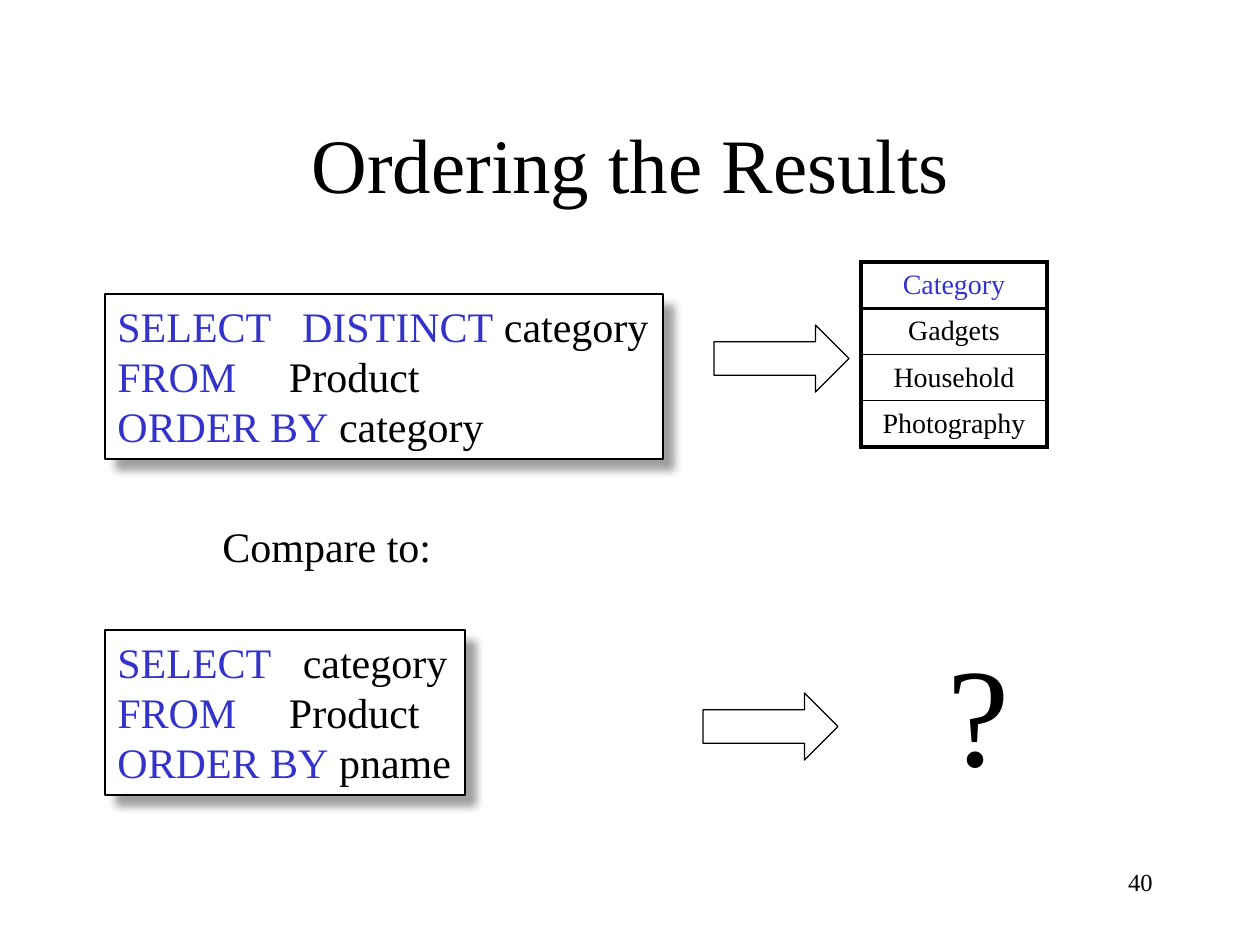
from lxml import etree
from pptx import Presentation
from pptx import util as u
from pptx.dml import color
from pptx.enum import shapes, text
from pptx.oxml import parse_xml
from pptx.oxml.ns import nsdecls, qn

PX = 914400 / 126
BLACK, KEYWORD = "000000", "3333CC"


def px(*lengths):
    return [u.Emu(round(n * PX)) for n in lengths]


def style(paragraph, size, colors=(BLACK,), align=text.PP_ALIGN.LEFT):
    """Format a paragraph's runs, one colour for each run."""
    paragraph.alignment = align
    for run, hex_color in zip(paragraph.runs, colors):
        run.font.name = "Times New Roman"
        run.font.size = u.Pt(size)
        run.font.bold = False
        run.font.color.rgb = color.RGBColor.from_string(hex_color)


prs = Presentation()
prs.slide_width, prs.slide_height = px(1260, 945)
slide = prs.slides.add_slide(prs.slide_layouts[5])

title = slide.shapes.title
title.left, title.top, title.width, title.height = px(95, 84, 1071, 158)
title.text_frame.text = "Ordering the Results"
title.text_frame.vertical_anchor = text.MSO_ANCHOR.MIDDLE
style(title.text_frame.paragraphs[0], 44, align=text.PP_ALIGN.CENTER)

# SQL queries: each line is a keyword part and the rest
queries = [
    ((105, 294, 558, 165), [("SELECT   DISTINCT", " category"),
                            ("FROM", "     Product"),
                            ("ORDER BY", " category")]),
    ((105, 630, 360, 165), [("SELECT", "   category"),
                            ("FROM", "     Product"),
                            ("ORDER BY", " pname")]),
]
for place, lines in queries:
    query = slide.shapes.add_shape(shapes.MSO_SHAPE.RECTANGLE, *px(*place))
    query.fill.solid()
    query.fill.fore_color.rgb = color.RGBColor.from_string("FFFFFF")
    query.line.color.rgb = color.RGBColor.from_string(BLACK)
    query.line.width = u.Pt(0.75)
    query._element.spPr.append(parse_xml(
        f'<a:effectLst {nsdecls("a")}><a:outerShdw blurRad="{u.Pt(5)}" dist="{u.Pt(8.5)}" '
        'dir="2700000" algn="ctr" rotWithShape="0"><a:srgbClr val="808080">'
        '<a:alpha val="75000"/></a:srgbClr></a:outerShdw></a:effectLst>'))
    frame = query.text_frame
    frame.word_wrap = False
    frame.auto_size = text.MSO_AUTO_SIZE.SHAPE_TO_FIT_TEXT
    frame.vertical_anchor = text.MSO_ANCHOR.TOP
    for i, parts in enumerate(lines):
        line = frame.add_paragraph() if i else frame.paragraphs[0]
        for part in parts:
            line.add_run().text = part
        style(line, 24, (KEYWORD, BLACK))

for left, top in [(714, 325), (703, 693)]:
    arrow = slide.shapes.add_shape(shapes.MSO_SHAPE.RIGHT_ARROW, *px(left, top, 135, 67))
    arrow.shadow.inherit = False
    arrow.fill.background()
    arrow.line.color.rgb = color.RGBColor.from_string(BLACK)
    arrow.line.width = u.Pt(0.75)

labels = [
    ("Compare to:", (210, 514, 234, 63), 24, text.PP_ALIGN.LEFT, False),
    ("?", (935, 620, 87, 180), 80, text.PP_ALIGN.LEFT, False),
    ("40", (903, 861, 262, 63), 14, text.PP_ALIGN.RIGHT, True),
]
for words, place, size, align, wrap in labels:
    label = slide.shapes.add_textbox(*px(*place))
    label.text_frame.text = words
    label.text_frame.word_wrap = wrap
    style(label.text_frame.paragraphs[0], size, align=align)

# Result of the first query
rows = ["Category", "Gadgets", "Household", "Photography"]
result = slide.shapes.add_table(len(rows), 1, *px(861, 262, 186, 46 * len(rows))).table
result.first_row = result.horz_banding = False
for i, words in enumerate(rows):
    cell = result.cell(i, 0)
    cell.text_frame.text = words
    cell.vertical_anchor = text.MSO_ANCHOR.MIDDLE
    style(cell.text_frame.paragraphs[0], 16, (BLACK if i else KEYWORD,), text.PP_ALIGN.CENTER)
    top = 1 if i > 1 else 2.25
    bottom = 1 if 0 < i < len(rows) - 1 else 2.25
    props = cell._tc.get_or_add_tcPr()
    for side, width in [("L", 2.25), ("R", 2.25), ("T", top), ("B", bottom)]:
        border = etree.SubElement(props, qn(f"a:ln{side}"), w=str(u.Pt(width)))
        fill = etree.SubElement(border, qn("a:solidFill"))
        etree.SubElement(fill, qn("a:srgbClr"), val=BLACK)
    cell.fill.background()

prs.save("out.pptx")
